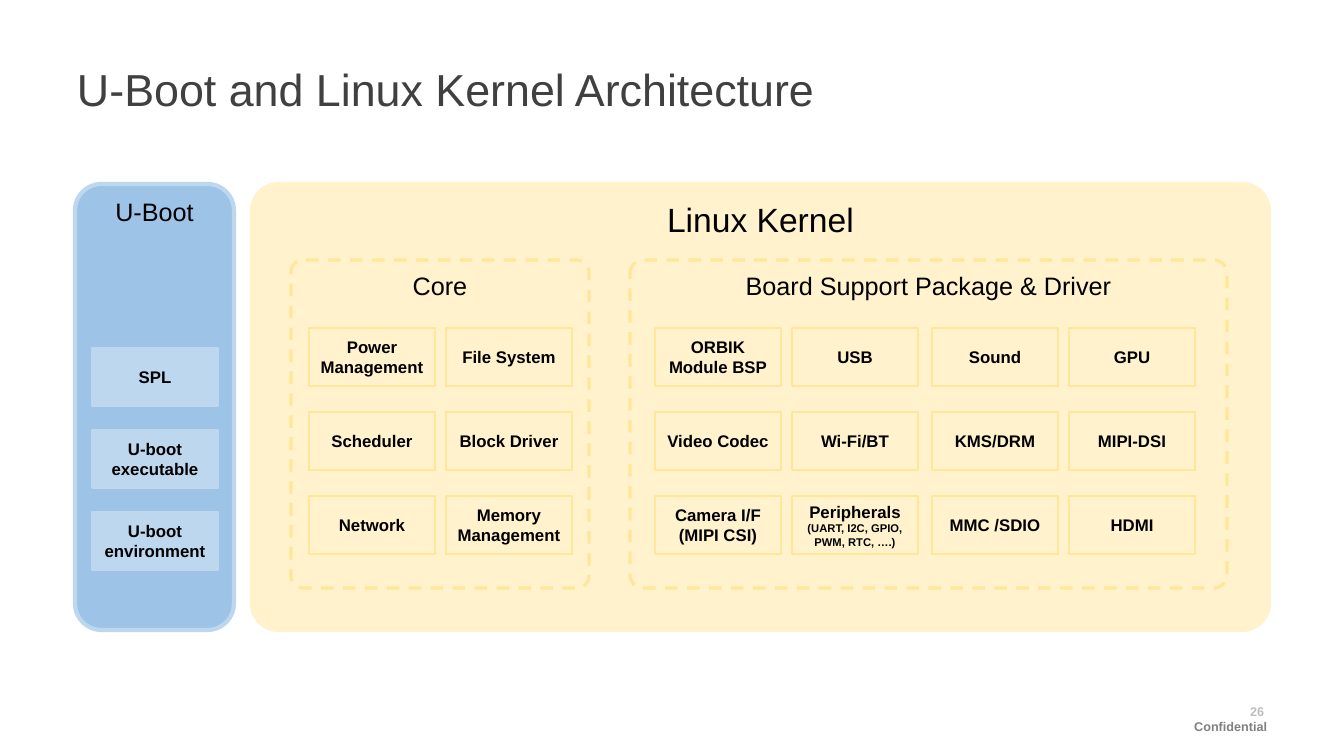
from dataclasses import dataclass

from pptx import Presentation
from pptx import util as u
from pptx.dml.color import RGBColor
from pptx.enum import dml, shapes, text

PX = 12192000 // 1344


@dataclass(frozen=True)
class Theme:
    font: str = "Arial"
    black: str = "000000"
    title: str = "404040"
    footer: str = "808080"
    page_number: str = "BFBFBF"
    blue: str = "9DC3E6"
    light_blue: str = "BDD7EE"
    cream: str = "FFF2CC"
    gold: str = "FFE699"
    title_size: int = 32
    kernel_size: int = 24
    panel_size: int = 18
    cell_size: int = 12
    footer_size: int = 9
    detail_size: int = 8


theme = Theme()


def write(shape, words, size=theme.cell_size, color=theme.black, bold=False,
          align=text.PP_ALIGN.CENTER, anchor=text.MSO_ANCHOR.TOP,
          margins=(10, 5), detail=""):
    """Fill a shape with one paragraph; detail follows in smaller type."""
    frame = shape.text_frame
    frame.word_wrap = True
    frame.vertical_anchor = anchor
    frame.margin_left = frame.margin_right = margins[0] * PX
    frame.margin_top = frame.margin_bottom = margins[1] * PX
    paragraph = frame.paragraphs[0]
    paragraph.alignment = align
    for part, part_size in ((words, size), (detail, theme.detail_size)):
        if part:
            run = paragraph.add_run()
            run.text = part
            run.font.name = theme.font
            run.font.size = u.Pt(part_size)
            run.font.bold = bold
            run.font.color.rgb = RGBColor.from_string(color)


def add_box(parent, kind, place, fill, line, width=1, corner=None, dashed=False):
    box = parent.shapes.add_shape(kind, *(length * PX for length in place))
    box.shadow.inherit = False
    box.fill.solid()
    box.fill.fore_color.rgb = RGBColor.from_string(fill)
    box.line.color.rgb = RGBColor.from_string(line)
    box.line.width = u.Pt(width)
    if corner is not None:
        box.adjustments[0] = corner
    if dashed:
        box.line.dash_style = dml.MSO_LINE.DASH
    return box


presentation = Presentation()
presentation.slide_width = 1344 * PX
presentation.slide_height = 756 * PX
slide = presentation.slides.add_slide(presentation.slide_layouts[6])
ROUNDED = shapes.MSO_SHAPE.ROUNDED_RECTANGLE
RECTANGLE = shapes.MSO_SHAPE.RECTANGLE

# Title and footer
right = text.PP_ALIGN.RIGHT
for words, place, size, color, bold, align in (
    ("U-Boot and Linux Kernel Architecture", (77, 62, 1190, 96),
     theme.title_size, theme.title, False, text.PP_ALIGN.LEFT),
    ("26", (1098, 704, 166, 25), theme.footer_size, theme.page_number, True, right),
    ("Confidential", (1107, 719, 160, 25), theme.footer_size, theme.footer, True, right),
):
    label = slide.shapes.add_textbox(*(length * PX for length in place))
    write(label, words, size=size, color=color, bold=bold, align=align, margins=(0, 0))

# Kernel background
kernel = add_box(slide, ROUNDED, (252, 184, 1017, 446), theme.cream, theme.cream,
                 width=3, corner=0.06)
write(kernel, "Linux Kernel", size=theme.kernel_size, margins=(13, 7))

# Panels, each with a grid of cells
uboot_style = dict(fill=theme.blue, line=theme.light_blue, width=3)
kernel_style = dict(fill=theme.cream, line=theme.gold, width=2.25,
                    corner=0.04, dashed=True)
uboot_cells = (theme.light_blue, theme.light_blue)
kernel_cells = (theme.cream, theme.gold)
panels = (
    ("U-Boot", (75, 184, 159, 446), uboot_style, (10, 5), uboot_cells,
     (92,), 348, 82,
     (("SPL",), ("U-boot executable",), ("U-boot environment",))),
    ("Core", (291, 260, 298, 328), kernel_style, (13, 7), kernel_cells,
     (309, 446), 328, 84,
     (("Power Management", "File System"),
      ("Scheduler", "Block Driver"),
      ("Network", "Memory Management"))),
    ("Board Support Package & Driver", (630, 260, 597, 328), kernel_style, (13, 7),
     kernel_cells, (655, 792, 932, 1069), 328, 84,
     (("ORBIK Module BSP", "USB", "Sound", "GPU"),
      ("Video Codec", "Wi-Fi/BT", "KMS/DRM", "MIPI-DSI"),
      ("Camera I/F (MIPI CSI)", "Peripherals ", "MMC /SDIO", "HDMI"))),
)
details = {"Peripherals ": "(UART, I2C, GPIO, PWM, RTC, ….)"}

for heading, place, style, margins, cell_colors, columns, top, pitch, rows in panels:
    group = slide.shapes.add_group_shape()
    panel = add_box(group, ROUNDED, place, **style)
    write(panel, heading, size=theme.panel_size, margins=margins)
    for row, names in enumerate(rows):
        for left, name in zip(columns, names):
            cell = add_box(group, RECTANGLE, (left, top + row * pitch, 126, 58),
                           *cell_colors)
            write(cell, name, bold=True, anchor=text.MSO_ANCHOR.MIDDLE,
                  detail=details.get(name, ""))

presentation.save("out.pptx")
